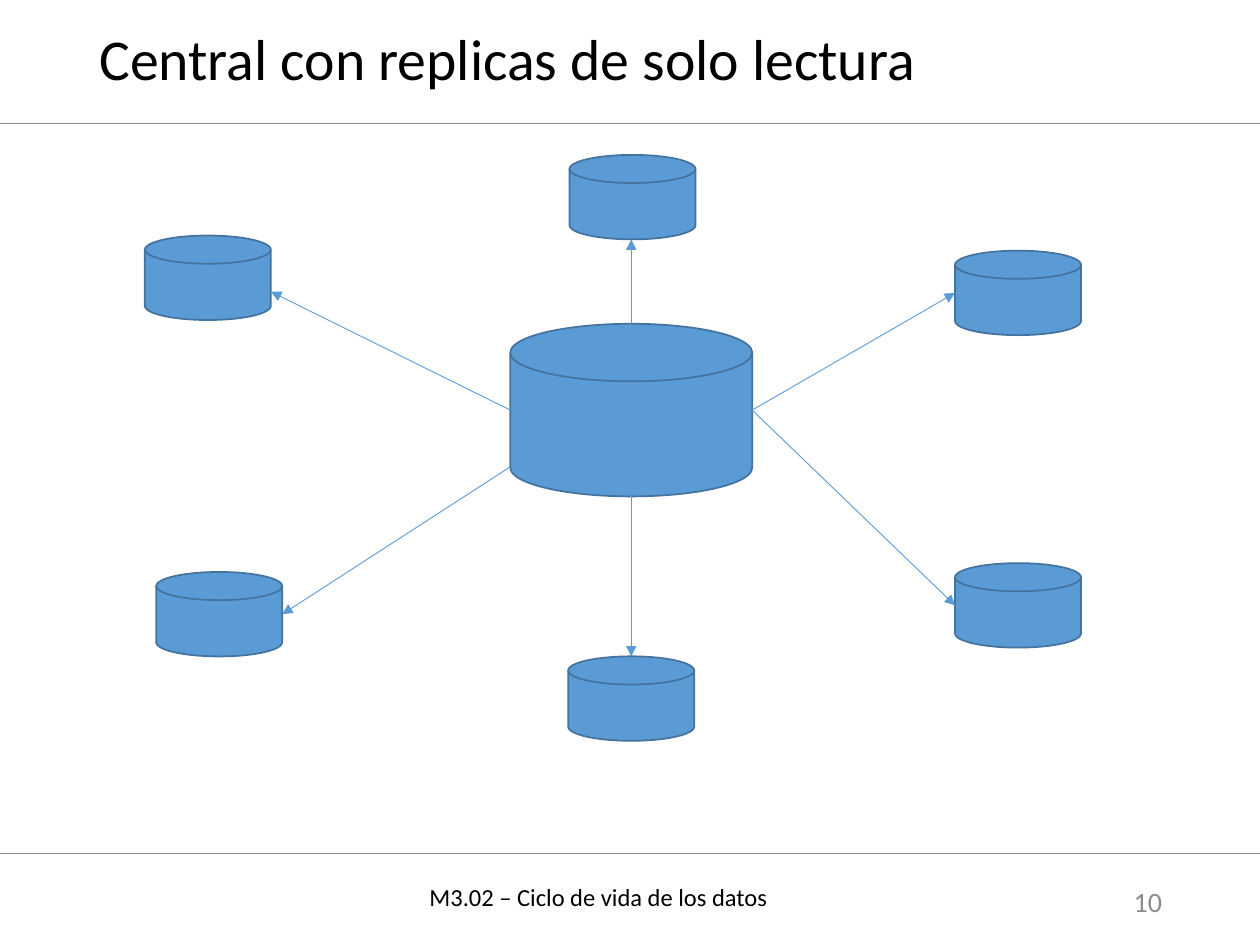
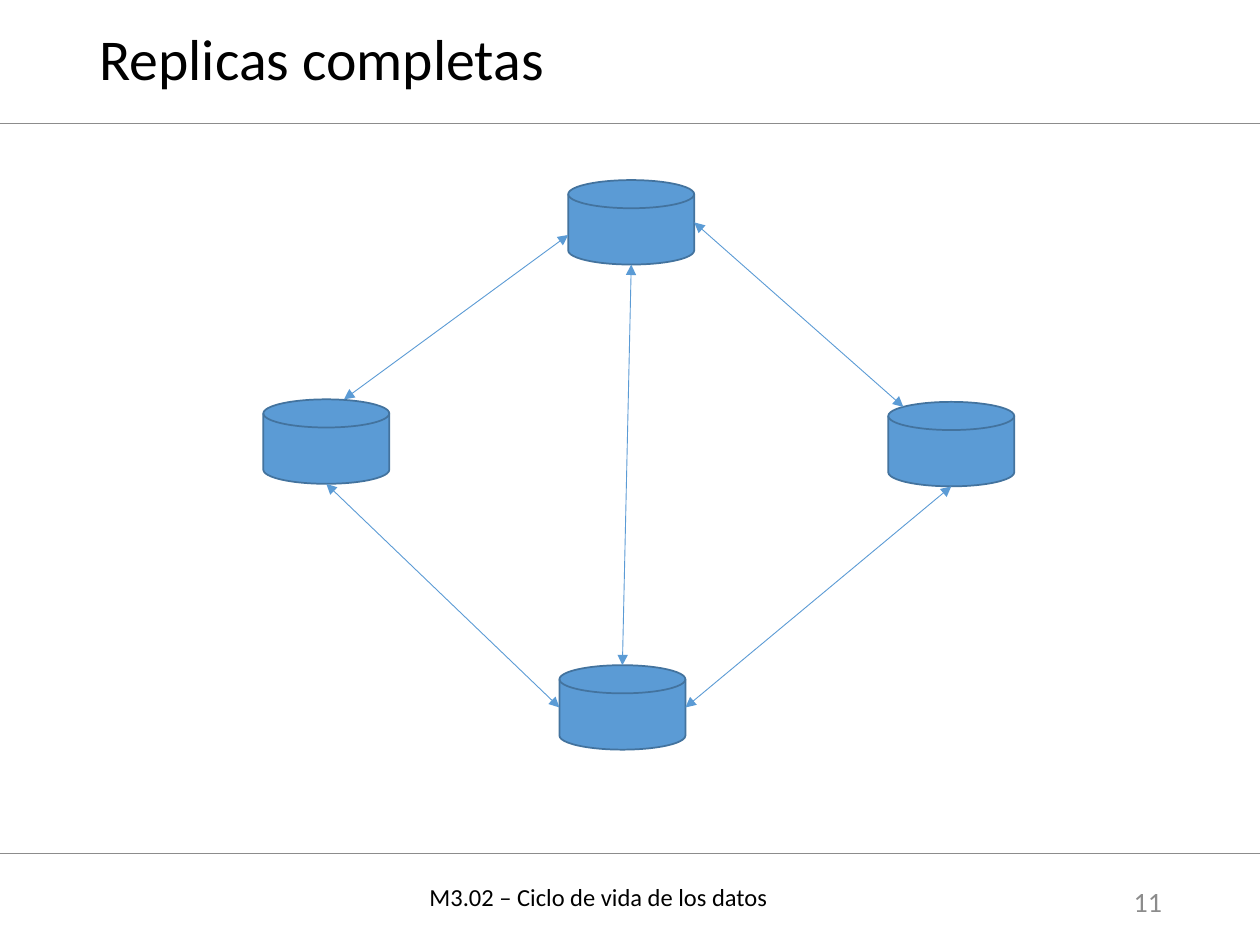
import pptx
import pptx.dml.color
import pptx.enum.shapes
import pptx.enum.text
import pptx.oxml.ns
import pptx.util
from lxml import etree
from pptx.util import Inches

FONT = "Calibri"
BLACK, GREY, BLUE, DARK_BLUE = "000000", "8C8C8C", "5B9BD5", "43739E"
FOOTER = "M3.02 – Ciclo de vida de los datos"

# Boxes are left, top, width, height in inches
SLIDE_WIDTH, SLIDE_HEIGHT = 10, 7.5
HEADER_BOX = (0, 0, SLIDE_WIDTH, 0.98)
DIAGRAM_BOX = (0, 0.98, SLIDE_WIDTH, 5.79)
FOOTER_BOX = (0, 6.77, SLIDE_WIDTH, 0.73)
REPLICA_SIZE = (1, 0.67)
CENTRAL_SIZE = (1.92, 1.37)

# Each side as a fraction of a disk's width and height
SIDES = {"left": (0, 0.5), "right": (1, 0.5), "top": (0.5, 0), "bottom": (0.5, 1)}

# Disks: left, top, size within the diagram box
# Links: disk, side and optional nudge along the outline at each end
READ_ONLY_DISKS = {
    "northwest": (1.15, 0.89, REPLICA_SIZE),
    "north": (4.52, 0.25, REPLICA_SIZE),
    "southwest": (1.24, 3.56, REPLICA_SIZE),
    "south": (4.51, 4.23, REPLICA_SIZE),
    "northeast": (7.58, 1.01, REPLICA_SIZE),
    "southeast": (7.58, 3.49, REPLICA_SIZE),
    "central": (4.05, 1.59, CENTRAL_SIZE),
}
READ_ONLY_LINKS = [
    (("central", "left"), ("northwest", "right", 0, 0.11)),
    (("central", "top"), ("north", "bottom", -0.01, 0)),
    (("central", "right"), ("northeast", "left")),
    (("central", "right"), ("southeast", "left")),
    (("central", "bottom"), ("south", "top")),
    (("central", "left", 0, 0.45), ("southwest", "right")),
]
FULL_DISKS = {
    "west": (2.09, 2.19, REPLICA_SIZE),
    "north": (4.51, 0.45, REPLICA_SIZE),
    "south": (4.44, 4.3, REPLICA_SIZE),
    "east": (7.05, 2.21, REPLICA_SIZE),
}
FULL_LINKS = [
    (("north", "bottom"), ("south", "top")),
    (("west", "bottom"), ("south", "left")),
    (("east", "bottom"), ("south", "right")),
    (("north", "left", 0, 0.1), ("west", "top", 0.14, 0)),
    (("north", "right"), ("east", "top", -0.38, 0.04)),
]


def rgb(value):
    return pptx.dml.color.RGBColor.from_string(value)


def add_line(slide, start, end, color, arrowheads=()):
    connector = slide.shapes.add_connector(
        pptx.enum.shapes.MSO_CONNECTOR.STRAIGHT,
        *(Inches(value) for value in (*start, *end)))
    connector.line.color.rgb = rgb(color)
    connector.line.width = pptx.util.Pt(0.5)
    line = connector.line._get_or_add_ln()
    for arrowhead in arrowheads:
        etree.SubElement(line, pptx.oxml.ns.qn("a:" + arrowhead), type="triangle")
    etree.SubElement(connector._element.spPr, pptx.oxml.ns.qn("a:effectLst"))


def add_text(slide, box, text, size, color, anchor="MIDDLE", align="LEFT", spacing=1.0):
    text_box = slide.shapes.add_textbox(*(Inches(value) for value in box))
    text_frame = text_box.text_frame
    text_frame.word_wrap = True
    text_frame.vertical_anchor = pptx.enum.text.MSO_ANCHOR[anchor]
    text_frame.text = text
    paragraph = text_frame.paragraphs[0]
    paragraph.alignment = pptx.enum.text.PP_ALIGN[align]
    paragraph.line_spacing = spacing
    font = paragraph.runs[0].font
    font.name, font.size, font.color.rgb = FONT, pptx.util.Pt(size), rgb(color)


def add_header(slide, box, title):
    left, top, width, height = box
    add_line(slide, (left, top + height), (left + width, top + height), GREY)
    add_text(slide, (left + 0.69, top + 0.05, width - 1.38, 0.88), title, 33, BLACK,
             spacing=0.9)


def add_footer(slide, box, number):
    left, top, width, height = box
    add_line(slide, (left, top), (left + width, top), GREY)
    text_top = top + 0.18
    add_text(slide, (left + 8.7, text_top, 0.62, 0.4), str(number), 16, GREY,
             align="RIGHT")
    add_text(slide, (left + 3.31, text_top, 5.07, height - 0.18), FOOTER, 14, BLACK,
             anchor="TOP")


def add_disk(slide, left, top, size):
    shape = slide.shapes.add_shape(
        pptx.enum.shapes.MSO_SHAPE.FLOWCHART_MAGNETIC_DISK,
        *(Inches(value) for value in (left, top, *size)))
    shape.shadow.inherit = False
    shape.fill.solid()
    shape.fill.fore_color.rgb = rgb(BLUE)
    shape.line.color.rgb = rgb(DARK_BLUE)
    shape.line.width = pptx.util.Pt(1)


def add_diagram(slide, box, disks, links, arrowheads):
    box_left, box_top = box[:2]

    def link_point(disk, side, nudge_x=0, nudge_y=0):
        left, top, (width, height) = disks[disk]
        across, down = SIDES[side]
        return (box_left + left + across * width + nudge_x,
                box_top + top + down * height + nudge_y)

    for left, top, size in disks.values():
        add_disk(slide, box_left + left, box_top + top, size)
    for start, end in links:
        add_line(slide, link_point(*start), link_point(*end), BLUE, arrowheads)


def add_diagram_slide(presentation, number, title, disks, links, arrowheads):
    slide = presentation.slides.add_slide(presentation.slide_layouts[6])
    add_header(slide, HEADER_BOX, title)
    add_footer(slide, FOOTER_BOX, number)
    add_diagram(slide, DIAGRAM_BOX, disks, links, arrowheads)


def main():
    presentation = pptx.Presentation()
    presentation.slide_width = Inches(SLIDE_WIDTH)
    presentation.slide_height = Inches(SLIDE_HEIGHT)
    # Changes flow one way from the centre
    add_diagram_slide(presentation, 10, "Central con replicas de solo lectura",
                      READ_ONLY_DISKS, READ_ONLY_LINKS, ["tailEnd"])
    # Changes flow both ways between replicas
    add_diagram_slide(presentation, 11, "Replicas completas",
                      FULL_DISKS, FULL_LINKS, ["headEnd", "tailEnd"])
    presentation.save("out.pptx")


if __name__ == "__main__":
    main()
